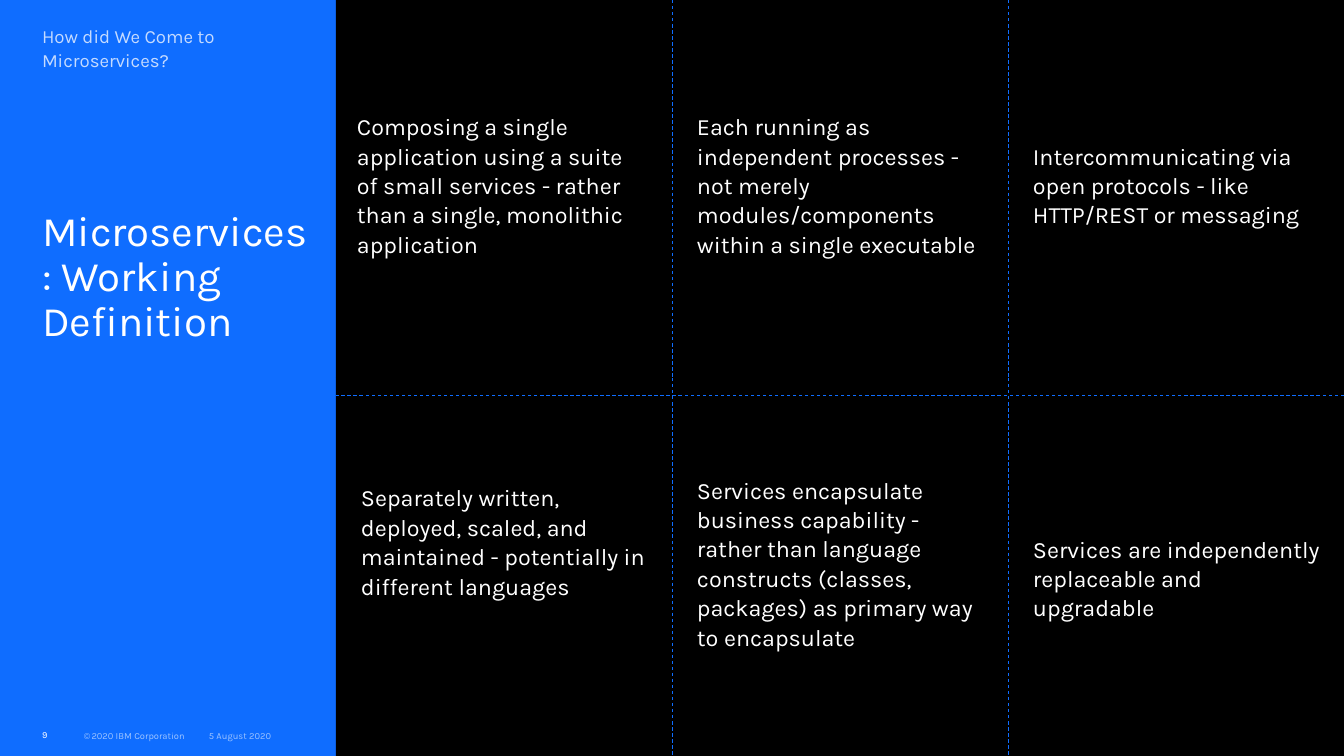
from lxml import etree
from pptx import Presentation
from pptx import util as u
from pptx.dml.color import RGBColor
from pptx.enum import dml, shapes, text
from pptx.oxml.ns import qn

COLORS = {
    "blue": "0F6DFF",
    "black": "000000",
    "white": "FFFFFF",
    "pale": "C5DBFF",
    "footer": "9FC5FF",
}
WIDTH, HEIGHT = 1344, 756
COLUMN, ROW = WIDTH // 4, HEIGHT // 2
RULE_Y = 395
INSET = 21

# Wording, left inset and bottom inset of each cell, row by row
DEFINITIONS = [
    [
        ("Composing a single application using a suite \vof small services - rather "
         "than a single, monolithic application", 21, 30),
        ("Each running as independent processes - not merely modules/components "
         "within a single executable", 25, 30),
        ("Intercommunicating via open protocols - like HTTP/REST or messaging", 25, 30),
    ],
    [
        ("Separately written, deployed, scaled, and maintained - potentially in "
         "different languages", 25, 73),
        ("Services encapsulate business capability - rather than language constructs "
         "(classes, packages) as primary way to encapsulate", 25, 30),
        ("Services are independently replaceable and upgradable", 25, 0),
    ],
]


def px(length):
    return u.Emu(round(length * 914400 / 84))


def rgb(name):
    return RGBColor.from_string(COLORS[name])


class Deck:
    font = "Karla"

    def __init__(self):
        self.presentation = Presentation()
        self.presentation.slide_width = px(WIDTH)
        self.presentation.slide_height = px(HEIGHT)
        self.slide = self.presentation.slides.add_slide(self.presentation.slide_layouts[6])
        background = self.slide.background.fill
        background.solid()
        background.fore_color.rgb = rgb("blue")

    def set_text(self, shape, wording, size, color, insets=(0, 0, 0, 0), middle=False, spacing=1.0):
        """Fill a shape with one paragraph; insets run left, top, right, bottom."""
        frame = shape.text_frame
        frame.word_wrap = True
        frame.margin_left, frame.margin_top, frame.margin_right, frame.margin_bottom = map(px, insets)
        frame.vertical_anchor = text.MSO_ANCHOR.MIDDLE if middle else text.MSO_ANCHOR.TOP
        paragraph = frame.paragraphs[0]
        paragraph.text = wording
        paragraph.alignment = text.PP_ALIGN.LEFT
        paragraph.line_spacing = spacing
        paragraph.font.name = self.font
        paragraph.font.size = u.Pt(size)
        paragraph.font.color.rgb = rgb(color)
        return paragraph

    def label(self, left, top, width, height, wording, size, color, **style):
        box = self.slide.shapes.add_textbox(px(left), px(top), px(width), px(height))
        return self.set_text(box, wording, size, color, **style)

    def cell(self, left, top, wording, inset_left, inset_bottom):
        shape = self.slide.shapes.add_shape(
            shapes.MSO_SHAPE.RECTANGLE, px(left), px(top), px(COLUMN), px(ROW))
        shape.shadow.inherit = False
        shape.fill.solid()
        shape.fill.fore_color.rgb = rgb("black")
        shape.line.fill.background()
        self.set_text(shape, wording, 20, "white", middle=True, spacing=1.05,
                      insets=(inset_left, INSET, INSET, inset_bottom))

    def rule(self, x1, y1, x2, y2):
        line = self.slide.shapes.add_connector(
            shapes.MSO_CONNECTOR.STRAIGHT, px(x1), px(y1), px(x2), px(y2))
        line.line.color.rgb = rgb("blue")
        line.line.width = u.Pt(0.75)
        line.line.dash_style = dml.MSO_LINE.DASH
        etree.SubElement(line._element.spPr, qn("a:effectLst"))


def main():
    deck = Deck()

    copyright_line = deck.label(84, 726, 210, 20, "©", 8, "footer", middle=True)
    gap = copyright_line.add_run()
    gap.text = " "
    gap.font.size = u.Pt(4)
    copyright_line.add_run().text = "2020 IBM Corporation"
    deck.label(209, 726, 126, 20, "5 August 2020", 8, "footer", middle=True)
    deck.label(42, 725, 30, 20, "9", 8, "white", middle=True)

    for row, definitions in enumerate(DEFINITIONS):
        for column, definition in enumerate(definitions, start=1):
            deck.cell(column * COLUMN, row * ROW, *definition)

    deck.label(42, 189, 273, 336, "Microservices: Working Definition", 36, "white",
               insets=(0, INSET, 0, 0), spacing=0.9)
    deck.label(42, 24, 273, 76, "How did We Come to Microservices?", 16, "pale", spacing=1.05)

    for top in (0, ROW):
        for column in (2, 3):
            deck.rule(column * COLUMN, top, column * COLUMN, top + ROW)
    deck.rule(WIDTH, RULE_Y, COLUMN, RULE_Y)

    deck.presentation.save("out.pptx")


if __name__ == "__main__":
    main()
